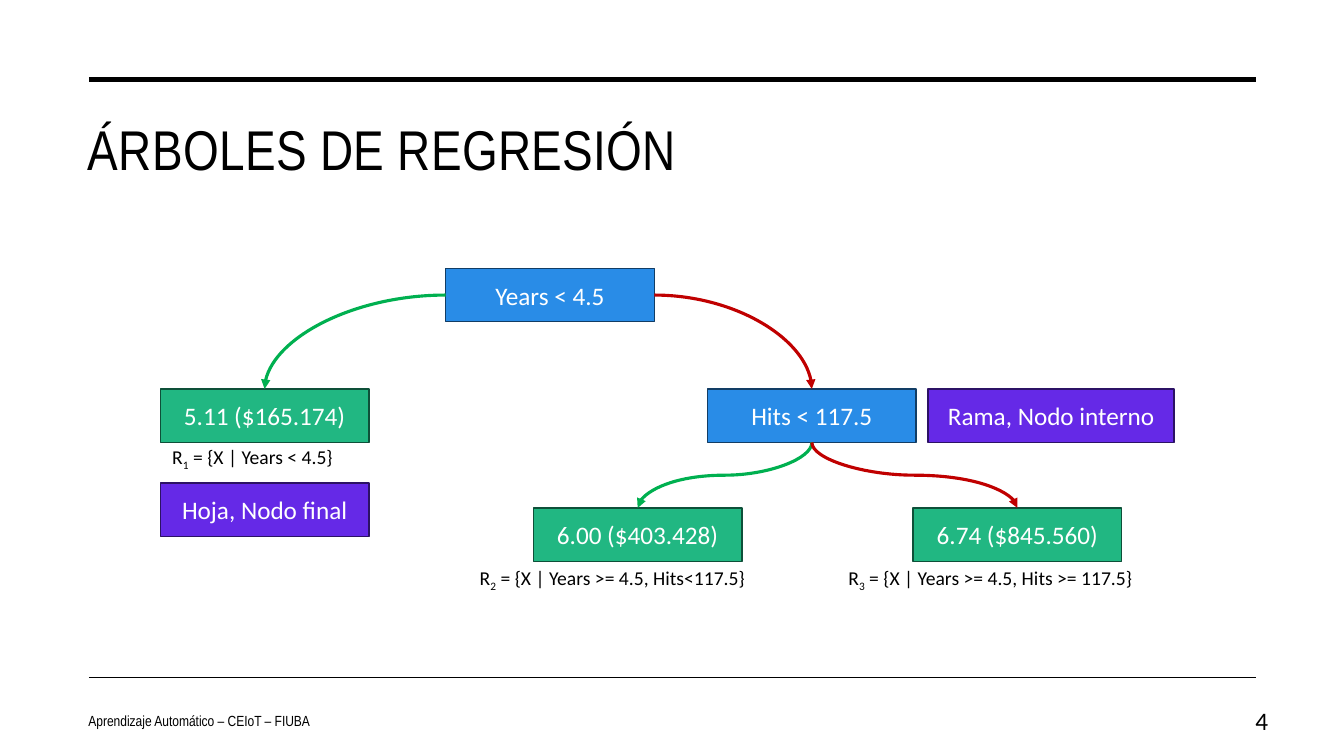
from dataclasses import dataclass

from lxml.etree import SubElement
from pptx import Presentation
from pptx.dml.color import RGBColor
from pptx.enum.shapes import MSO_CONNECTOR, MSO_SHAPE
from pptx.enum.text import MSO_ANCHOR, MSO_AUTO_SIZE, PP_ALIGN
from pptx.oxml.ns import qn
from pptx.util import Cm, Pt

TOP, LEFT, BOTTOM, RIGHT = range(4)  # connection sites of a rectangle


@dataclass(frozen=True)
class Theme:
    heading_font: str = "Arial Narrow"
    body_font: str = "Calibri"
    ink: str = "000000"
    white: str = "FFFFFF"
    branch: tuple = ("298CE7", "123D65")
    leaf: tuple = ("21B782", "0E5039")
    legend: tuple = ("6529E7", "2C1265")
    yes: str = "00B050"
    no: str = "C00000"
    title_size: float = 40
    node_size: float = 18
    region_size: float = 14
    footer_size: float = 10.5


def write(paragraph, text, *, font, size, color, align=PP_ALIGN.LEFT, baseline=None, spacing=None):
    """Append a formatted run; baseline is in thousandths of a percent, spacing in 1/100 pt."""
    paragraph.alignment = align
    run = paragraph.add_run()
    run.text = text
    run.font.name = font
    run.font.size = Pt(size)
    run.font.color.rgb = RGBColor.from_string(color)
    for name, value in (("baseline", baseline), ("spc", spacing)):
        if value is not None:
            run.font._element.set(name, str(value))


class TreeSlide:
    NODE_WIDTH, NODE_HEIGHT = 5.26, 1.35

    def __init__(self, presentation, theme):
        self.theme = theme
        self.slide = presentation.slides.add_slide(presentation.slide_layouts[5])
        self.shapes = self.slide.shapes

    def title(self, text):
        shape = self.shapes.title
        shape.left, shape.top, shape.width, shape.height = Cm(1.96), Cm(2.57), Cm(29.69), Cm(2.34)
        frame = shape.text_frame
        frame.auto_size = MSO_AUTO_SIZE.NONE
        frame.vertical_anchor = MSO_ANCHOR.MIDDLE
        write(frame.paragraphs[0], text, font=self.theme.heading_font,
              size=self.theme.title_size, color=self.theme.ink, spacing=30)

    def text_box(self, left, top, width, height):
        frame = self.shapes.add_textbox(Cm(left), Cm(top), Cm(width), Cm(height)).text_frame
        frame.word_wrap = True
        frame.vertical_anchor = MSO_ANCHOR.MIDDLE
        return frame

    def footer(self, text, left, width, **style):
        frame = self.text_box(left, 17.65, width, 1.02)
        write(frame.paragraphs[0], text, color=self.theme.ink, **style)

    def node(self, text, left, top, colors, width=NODE_WIDTH):
        shape = self.shapes.add_shape(MSO_SHAPE.RECTANGLE, Cm(left), Cm(top),
                                      Cm(width), Cm(self.NODE_HEIGHT))
        fill, outline = colors
        shape.shadow.inherit = False
        shape.fill.solid()
        shape.fill.fore_color.rgb = RGBColor.from_string(fill)
        shape.line.color.rgb = RGBColor.from_string(outline)
        shape.line.width = Pt(1)
        shape.text_frame.vertical_anchor = MSO_ANCHOR.MIDDLE
        write(shape.text_frame.paragraphs[0], text, font=self.theme.body_font,
              size=self.theme.node_size, color=self.theme.white, align=PP_ALIGN.CENTER)
        return shape

    def region(self, index, condition, left, top, width):
        frame = self.text_box(left, top, width, 0.89)
        frame.word_wrap = False
        frame.auto_size = MSO_AUTO_SIZE.SHAPE_TO_FIT_TEXT
        frame.margin_left = frame.margin_right = frame.margin_top = frame.margin_bottom = Cm(0.15)
        style = dict(font=self.theme.body_font, size=self.theme.region_size, color=self.theme.ink)
        paragraph = frame.paragraphs[0]
        write(paragraph, "R", **style)
        write(paragraph, str(index), baseline=-25000, **style)
        write(paragraph, f" = {{X | {condition}}}", **style)

    def connector(self, kind, color, width, left=0, top=0, right=0, bottom=0):
        connector = self.shapes.add_connector(kind, Cm(left), Cm(top), Cm(right), Cm(bottom))
        connector.line.color.rgb = RGBColor.from_string(color)
        connector.line.width = Pt(width)
        SubElement(connector._element.spPr, qn("a:effectLst"))
        return connector

    def rule(self, top, width):
        self.connector(MSO_CONNECTOR.STRAIGHT, self.theme.ink, width, 2.24, top, 31.65, top)

    def arrow(self, parent, site, child, color):
        """Curve from a site of the parent node to the top of the child node."""
        connector = self.connector(MSO_CONNECTOR.CURVE, color, 2.25)
        connector.begin_connect(parent, site)
        connector.end_connect(child, TOP)
        SubElement(connector.line._get_or_add_ln(), qn("a:tailEnd"), type="triangle")
        if site == BOTTOM:
            self.turn_downwards(connector)
        else:
            connector._element.spPr.find(qn("a:prstGeom")).set("prst", "curvedConnector2")

    def turn_downwards(self, connector):
        """Rotate an S curve so that it leaves and arrives vertically."""
        goes_right = connector.end_x > connector.begin_x
        across, down = connector.width, connector.height
        connector.left += (across - down) // 2
        connector.top += (down - across) // 2
        connector.width, connector.height = down, across
        transform = connector._element.spPr.find(qn("a:xfrm"))
        transform.set("flipH", "1" if goes_right else "0")
        transform.set("rot", str((270 if goes_right else 90) * 60000))


def main():
    presentation = Presentation()
    presentation.slide_width, presentation.slide_height = Cm(33.87), Cm(19.05)
    theme = Theme()
    tree = TreeSlide(presentation, theme)

    tree.rule(2.01, 3.5)
    tree.rule(17.07, 1)
    tree.title("ÁRBOLES DE REGRESIÓN")
    tree.footer("4", 30.33, 1.88, font=theme.body_font, size=theme.node_size, align=PP_ALIGN.RIGHT)
    tree.footer("Aprendizaje Automático – CEIoT – FIUBA", 1.98, 12.6,
                font=theme.heading_font, size=theme.footer_size)

    second_level, third_level = 9.8, 12.8
    years = tree.node("Years < 4.5", 11.23, 6.76, theme.branch)
    hits = tree.node("Hits < 117.5", 17.83, second_level, theme.branch)
    few_years = tree.node("5.11 ($165.174)", 4.04, second_level, theme.leaf)
    many_hits = tree.node("6.74 ($845.560)", 23.01, third_level, theme.leaf)
    few_hits = tree.node("6.00 ($403.428)", 13.44, third_level, theme.leaf)

    tree.arrow(years, LEFT, few_years, theme.yes)
    tree.arrow(years, RIGHT, hits, theme.no)
    tree.arrow(hits, BOTTOM, few_hits, theme.yes)
    tree.arrow(hits, BOTTOM, many_hits, theme.no)

    tree.region(3, "Years >= 4.5, Hits >= 117.5", 21.23, 14.15, 8.84)
    tree.region(2, "Years >= 4.5, Hits<117.5", 11.94, 14.15, 8.23)
    tree.region(1, "Years < 4.5", 4.19, 11.1, 5.36)
    tree.node("Hoja, Nodo final", 4.04, 12.17, theme.legend)
    tree.node("Rama, Nodo interno", 23.39, second_level, theme.legend, width=6.2)

    presentation.save("out.pptx")


if __name__ == "__main__":
    main()
